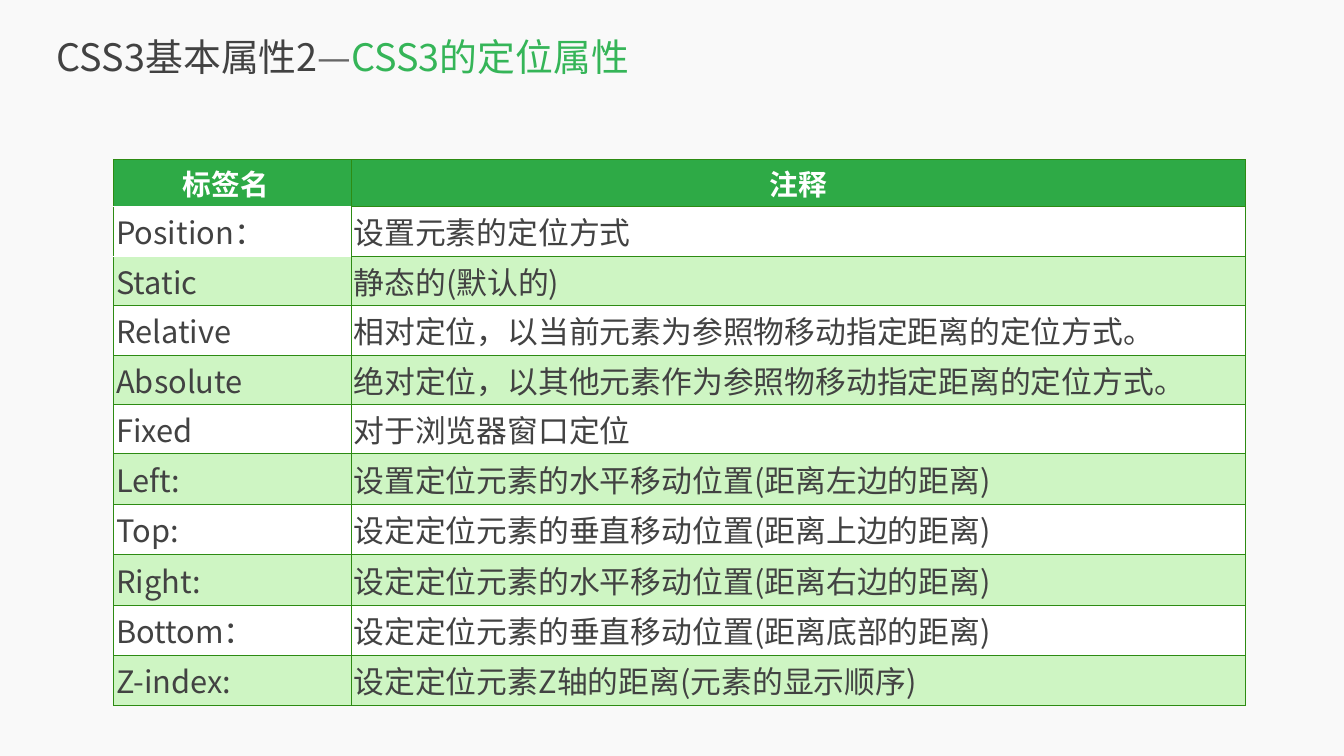
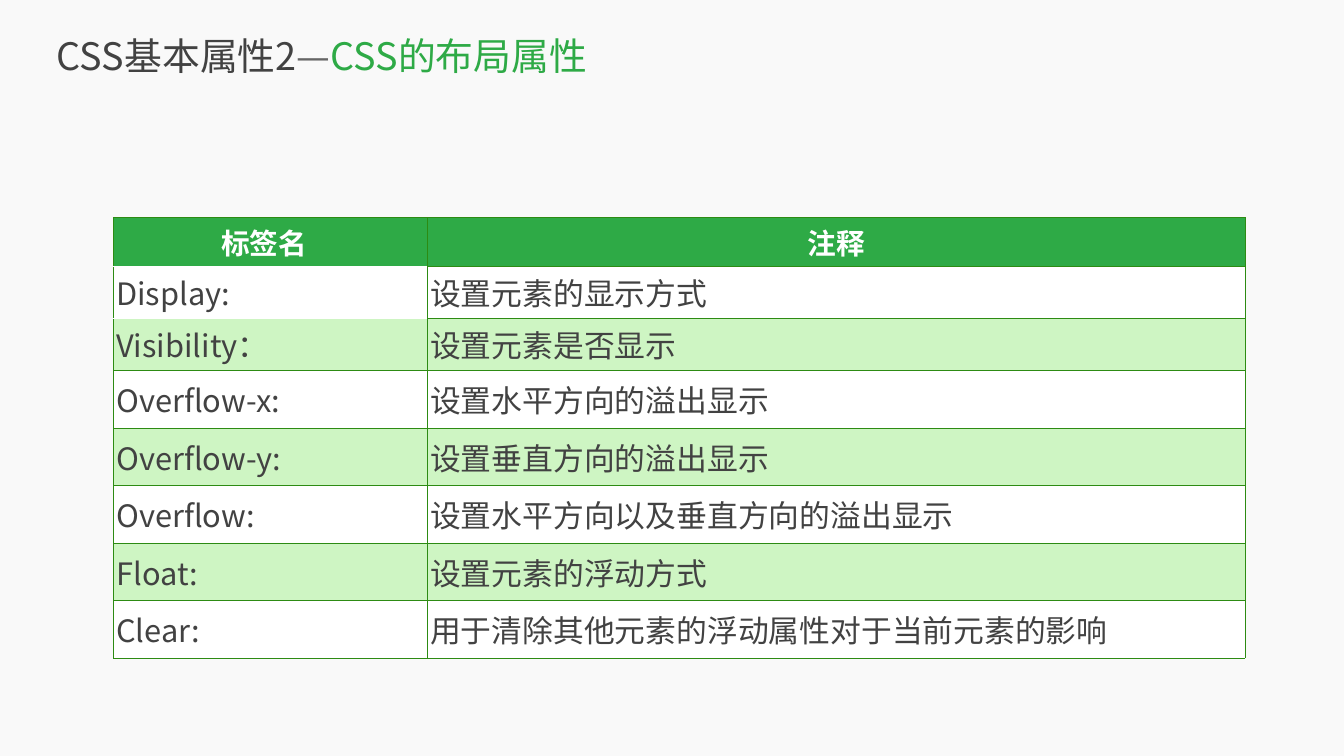
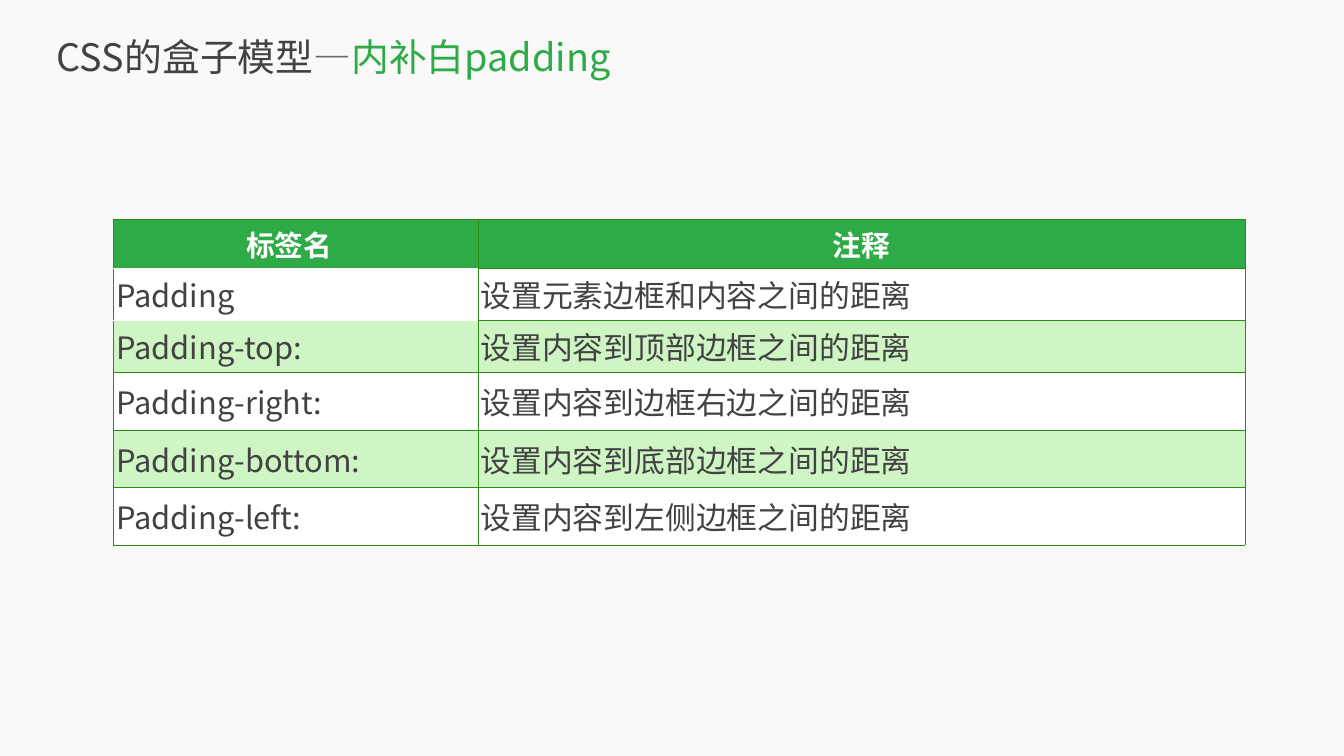
from dataclasses import dataclass

from lxml.etree import SubElement
from pptx import Presentation
from pptx.dml.color import RGBColor
from pptx.enum.text import MSO_ANCHOR, PP_ALIGN
from pptx.oxml.ns import qn
from pptx.slide import Slide
from pptx.table import _Cell
from pptx.text.text import _Paragraph, _Run
from pptx.util import Cm, Length, Pt

FONT = "Noto Sans CJK SC"
PAPER = RGBColor(0xF9, 0xF9, 0xF9)
INK = RGBColor(0x42, 0x42, 0x42)
DASH_GREY = RGBColor(0x66, 0x66, 0x66)
GREEN = RGBColor(0x2E, 0xAA, 0x46)
BRIGHT_GREEN = RGBColor(0x35, 0xB5, 0x58)
PALE_GREEN = RGBColor(0xCE, 0xF5, 0xC3)
RULE_GREEN = RGBColor(0x2D, 0x8B, 0x13)
WHITE = RGBColor(0xFF, 0xFF, 0xFF)

TITLE_LEFT, TITLE_WIDTH = Cm(2.87), Cm(63.91)
TABLE_LEFT, TABLE_WIDTH = Cm(5.73), Cm(57.03)
CELL_MARGIN = Cm(0.13)
NAME_HEADING_MARGIN = Cm(0.79)
HANGING = Cm(0.97)
HEADINGS = ("标签名", "注释")
# White sides in the first column, by row; all other sides are green.
WHITE_SIDES = {0: "B", 1: "TB", 2: "T"}


@dataclass(frozen=True)
class Title:
    subject: str
    topic: str
    accent: RGBColor = GREEN
    top: Length = Cm(0.61)
    height: Length = Cm(4.47)


@dataclass(frozen=True)
class PropertyTable:
    """Name and note rows; the first ones are compact, the rest are taller."""
    top: Length
    name_width: Length
    heading_height: Length
    compact_height: Length
    tall_height: Length
    compact: tuple[tuple[str, str], ...]
    tall: tuple[tuple[str, str], ...]


@dataclass(frozen=True)
class Page:
    title: Title
    properties: PropertyTable


PAGES = (
    Page(
        Title("CSS3基本属性2", "CSS3的定位属性", BRIGHT_GREEN),
        PropertyTable(
            Cm(8.04), Cm(11.96), Cm(2.37), Cm(2.49), Cm(2.54),
            compact=(
                ("Position：", "设置元素的定位方式"),
                ("Static", "静态的(默认的)"),
                ("Relative", "相对定位，以当前元素为参照物移动指定距离的定位方式。"),
                ("Absolute", "绝对定位，以其他元素作为参照物移动指定距离的定位方式。"),
                ("Fixed", "对于浏览器窗口定位"),
            ),
            tall=(
                ("Left:", "设置定位元素的水平移动位置(距离左边的距离)"),
                ("Top:", "设定定位元素的垂直移动位置(距离上边的距离)"),
                ("Right:", "设定定位元素的水平移动位置(距离右边的距离)"),
                ("Bottom：", "设定定位元素的垂直移动位置(距离底部的距离)"),
                ("Z-index:", "设定定位元素Z轴的距离(元素的显示顺序)"),
            ),
        ),
    ),
    Page(
        Title("CSS基本属性2", "CSS的布局属性", top=Cm(0.99), height=Cm(3.58)),
        PropertyTable(
            Cm(10.97), Cm(15.82), Cm(2.46), Cm(2.62), Cm(2.9),
            compact=(
                ("Display:", "设置元素的显示方式"),
                ("Visibility：", "设置元素是否显示"),
            ),
            tall=(
                ("Overflow-x:", "设置水平方向的溢出显示"),
                ("Overflow-y:", "设置垂直方向的溢出显示"),
                ("Overflow:", "设置水平方向以及垂直方向的溢出显示"),
                ("Float:", "设置元素的浮动方式"),
                ("Clear:", "用于清除其他元素的浮动属性对于当前元素的影响"),
            ),
        ),
    ),
    Page(
        Title("CSS的盒子模型", "内补白padding"),
        PropertyTable(
            Cm(11.05), Cm(18.36), Cm(2.46), Cm(2.62), Cm(2.91),
            compact=(
                ("Padding", "设置元素边框和内容之间的距离"),
                ("Padding-top:", "设置内容到顶部边框之间的距离"),
            ),
            tall=(
                ("Padding-right:", "设置内容到边框右边之间的距离"),
                ("Padding-bottom:", "设置内容到底部边框之间的距离"),
                ("Padding-left:", "设置内容到左侧边框之间的距离"),
            ),
        ),
    ),
)


def style_run(run: _Run, size: int, color: RGBColor, bold: bool = False) -> None:
    run.font.name = FONT
    run.font.size = Pt(size)
    run.font.bold = bold
    run.font.color.rgb = color
    SubElement(run.font._element, qn("a:ea"), typeface=FONT)


def add_title(slide: Slide, title: Title) -> None:
    frame = slide.shapes.add_textbox(
        TITLE_LEFT, title.top, TITLE_WIDTH, title.height).text_frame
    frame.word_wrap = True
    frame.vertical_anchor = MSO_ANCHOR.MIDDLE
    frame.margin_left = frame.margin_right = 0
    frame.margin_top = frame.margin_bottom = 0
    parts = ((title.subject, INK), ("—", DASH_GREY), (title.topic, title.accent))
    for words, color in parts:
        run = frame.paragraphs[0].add_run()
        run.text = words
        style_run(run, 54, color)


def hang(paragraph: _Paragraph) -> None:
    properties = paragraph._p.get_or_add_pPr()
    properties.set("marL", str(HANGING))
    properties.set("indent", str(-HANGING))


def draw_borders(cell: _Cell, white_sides: str) -> None:
    """Rule all four sides in green, except the white ones (out of L, R, T, B)."""
    for side in "LRTB":
        color, width = (WHITE, Pt(1)) if side in white_sides else (RULE_GREEN, Pt(0.75))
        line = SubElement(cell._tc.get_or_add_tcPr(), qn(f"a:ln{side}"), w=str(width))
        fill = SubElement(line, qn("a:solidFill"))
        SubElement(fill, qn("a:srgbClr"), val=str(color))


def fill_cell(cell: _Cell, words: str, row: int, column: int, hanging: bool) -> None:
    heading = row == 0
    cell.text_frame.text = words
    paragraph = cell.text_frame.paragraphs[0]
    if hanging:
        hang(paragraph)
    paragraph.alignment = PP_ALIGN.CENTER if heading else PP_ALIGN.LEFT
    style_run(paragraph.runs[0], 41 if heading else 44, WHITE if heading else INK, heading)

    cell.vertical_anchor = MSO_ANCHOR.MIDDLE
    cell.margin_left = cell.margin_right = CELL_MARGIN
    cell.margin_top = cell.margin_bottom = CELL_MARGIN
    if heading and column == 0:
        cell.margin_right = NAME_HEADING_MARGIN

    draw_borders(cell, WHITE_SIDES.get(row, "") if column == 0 else "")
    cell.fill.solid()
    cell.fill.fore_color.rgb = GREEN if heading else (PALE_GREEN, WHITE)[row % 2]


def add_property_table(slide: Slide, properties: PropertyTable) -> None:
    rows = (HEADINGS, *properties.compact, *properties.tall)
    heights = ([properties.heading_height]
               + [properties.compact_height] * len(properties.compact)
               + [properties.tall_height] * len(properties.tall))
    table = slide.shapes.add_table(len(rows), len(HEADINGS), TABLE_LEFT,
                                   properties.top, TABLE_WIDTH, sum(heights)).table
    table.columns[0].width = properties.name_width
    table.columns[1].width = TABLE_WIDTH - properties.name_width
    for row, (entry, height) in enumerate(zip(rows, heights)):
        table.rows[row].height = height
        hanging = row == 0 or row > len(properties.compact)
        for column, words in enumerate(entry):
            fill_cell(table.cell(row, column), words, row, column, hanging)


def main() -> None:
    deck = Presentation()
    deck.slide_width, deck.slide_height = Cm(67.74), Cm(38.1)
    background = deck.slide_master.background.fill
    background.solid()
    background.fore_color.rgb = PAPER
    blank = deck.slide_layouts[6]
    for page in PAGES:
        slide = deck.slides.add_slide(blank)
        add_title(slide, page.title)
        add_property_table(slide, page.properties)
    deck.save("out.pptx")


if __name__ == "__main__":
    main()
